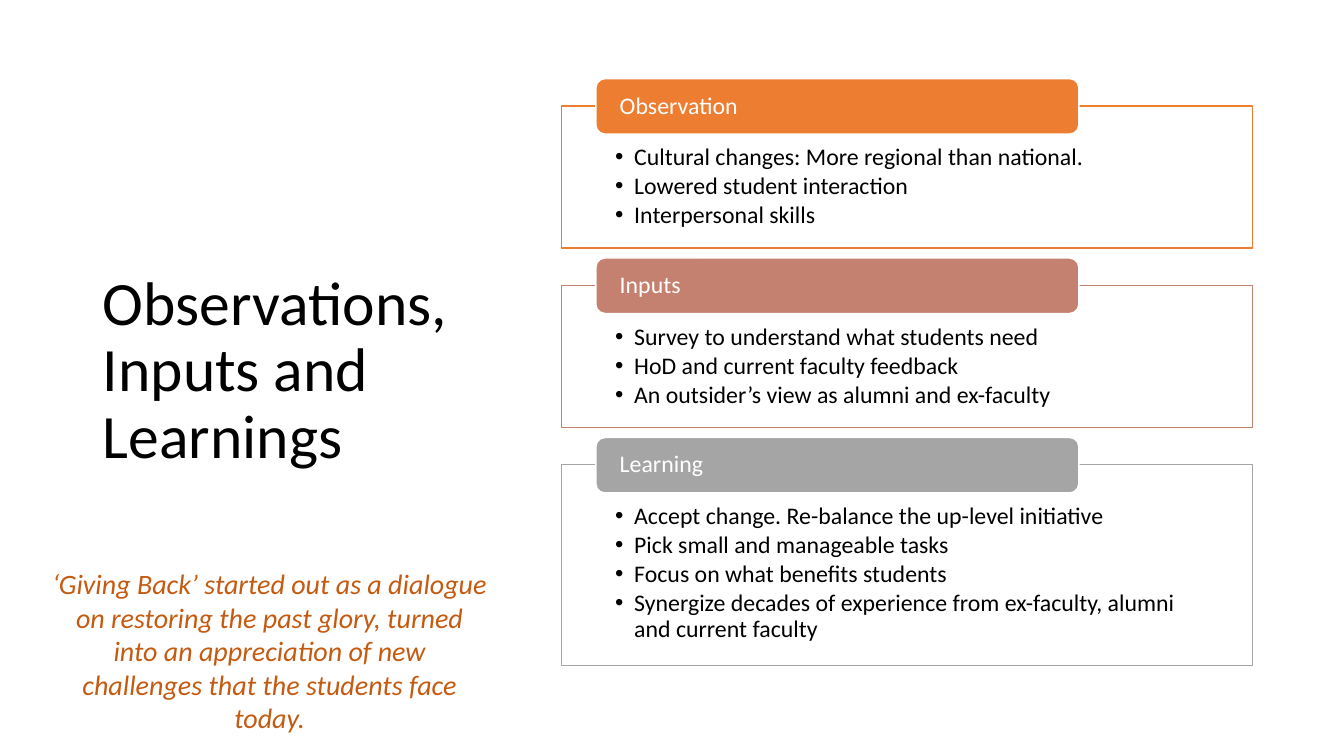
import pptx
import pptx.util
import pptx.dml.color
import pptx.enum.shapes
import pptx.enum.text
import pptx.oxml
import pptx.oxml.ns
from pptx.util import Inches

COLORS = {
    "black": "000000",
    "white": "FFFFFF",
    "orange": "ED7D31",
    "rose": "C48170",
    "gray": "A5A5A5",
    "rust": "C55A11",
}
FONT = "Calibri"
ALIGN = pptx.enum.text.PP_ALIGN
ANCHOR = pptx.enum.text.MSO_ANCHOR
AUTO_SIZE = pptx.enum.text.MSO_AUTO_SIZE
SHAPE = pptx.enum.shapes.MSO_SHAPE

CARDS = [
    ("Observation", "orange", 1.41, [
        "Cultural changes: More regional than national.",
        "Lowered student interaction",
        "Interpersonal skills",
    ]),
    ("Inputs", "rose", 1.41, [
        "Survey to understand what students need",
        "HoD and current faculty feedback",
        "An outsider’s view as alumni and ex-faculty",
    ]),
    ("Learning", "gray", 1.99, [
        "Accept change. Re-balance the up-level initiative",
        "Pick small and manageable tasks",
        "Focus on what benefits students",
        "Synergize decades of experience from ex-faculty, alumni and current faculty",
    ]),
]
CARD_TOP, CARD_GAP, TAB_RISE = 1.05, 0.37, 0.27


def rgb(name):
    return pptx.dml.color.RGBColor.from_string(COLORS[name])


def add_bullet(p, indent):
    pPr = p._p.get_or_add_pPr()
    pPr.set("marL", str(Inches(indent)))
    pPr.set("indent", str(-Inches(indent)))
    ns = pptx.oxml.ns.nsdecls("a")
    pPr.append(pptx.oxml.parse_xml(f'<a:buFont {ns} typeface="Arial"/>'))
    pPr.append(pptx.oxml.parse_xml(f'<a:buChar {ns} char="•"/>'))


def write(tf, text, size=17, color="black", italic=False, align=ALIGN.LEFT,
          anchor=ANCHOR.TOP, spacing=0.9, after=0, bullet=False,
          insets=(0.1, 0.05, 0.1, 0.05), auto_size=AUTO_SIZE.NONE):
    tf.word_wrap = True
    tf.auto_size = auto_size
    tf.vertical_anchor = anchor
    tf.margin_left, tf.margin_top, tf.margin_right, tf.margin_bottom = map(Inches, insets)
    for i, line in enumerate(text.split("\n")):
        p = tf.add_paragraph() if i else tf.paragraphs[0]
        p.alignment = align
        p.line_spacing = spacing
        p.space_after = pptx.util.Pt(after)
        if bullet:
            add_bullet(p, 0.19)
        r = p.add_run()
        r.text = line
        r.font.name = FONT
        r.font.size = pptx.util.Pt(size)
        r.font.italic = italic
        r.font.color.rgb = rgb(color)


class SlideBuilder:
    """Draws styled elements on the current slide."""

    def __init__(self, prs):
        self.s = prs.slides.add_slide(prs.slide_layouts[5])

    def title(self, text, box):
        sp = self.s.shapes.title
        sp.left, sp.top, sp.width, sp.height = map(Inches, box)
        write(sp.text_frame, text, size=44, anchor=ANCHOR.MIDDLE)

    def text(self, text, box, **fmt):
        sp = self.s.shapes.add_textbox(*map(Inches, box))
        write(sp.text_frame, text, **fmt)

    def shape(self, kind, box, fill, line, text, **fmt):
        sp = self.s.shapes.add_shape(kind, *map(Inches, box))
        sp.shadow.inherit = False
        sp.fill.solid()
        sp.fill.fore_color.rgb = rgb(fill)
        sp.line.color.rgb = rgb(line)
        sp.line.width = pptx.util.Pt(1)
        write(sp.text_frame, text, **fmt)
        return sp

    def card(self, top, height, heading, color, items):
        sp = self.shape(SHAPE.RECTANGLE, (5.57, top, 6.85, height), "white", color,
                        "\n".join(items), after=2.3, bullet=True,
                        insets=(0.53, 0.39, 0.53, 0.13))
        clr = sp.fill._xPr.find(".//" + pptx.oxml.ns.qn("a:srgbClr"))
        ns = pptx.oxml.ns.nsdecls("a")
        clr.append(pptx.oxml.parse_xml(f'<a:alpha {ns} val="90000"/>'))
        self.shape(SHAPE.ROUNDED_RECTANGLE, (5.91, top - TAB_RISE, 4.79, 0.55), color,
                   "white", heading, color="white", anchor=ANCHOR.MIDDLE,
                   insets=(0.21, 0, 0.21, 0))


def main():
    prs = pptx.Presentation()
    prs.slide_width, prs.slide_height = Inches(13.33), Inches(7.5)
    slide = SlideBuilder(prs)
    slide.title("Observations, Inputs and Learnings", (0.92, 0.68, 3.69, 6.02))
    top = CARD_TOP
    for heading, color, height, items in CARDS:
        slide.card(top, height, heading, color, items)
        top += height + CARD_GAP
    slide.text("‘Giving Back’ started out as a dialogue on restoring the past glory, "
               "turned into an appreciation of new challenges that the students face today.",
               (0.41, 5.57, 4.53, 1.45), size=20, color="rust", italic=True,
               align=ALIGN.CENTER, spacing=1.0, auto_size=AUTO_SIZE.SHAPE_TO_FIT_TEXT)
    prs.save("out.pptx")


if __name__ == "__main__":
    main()
